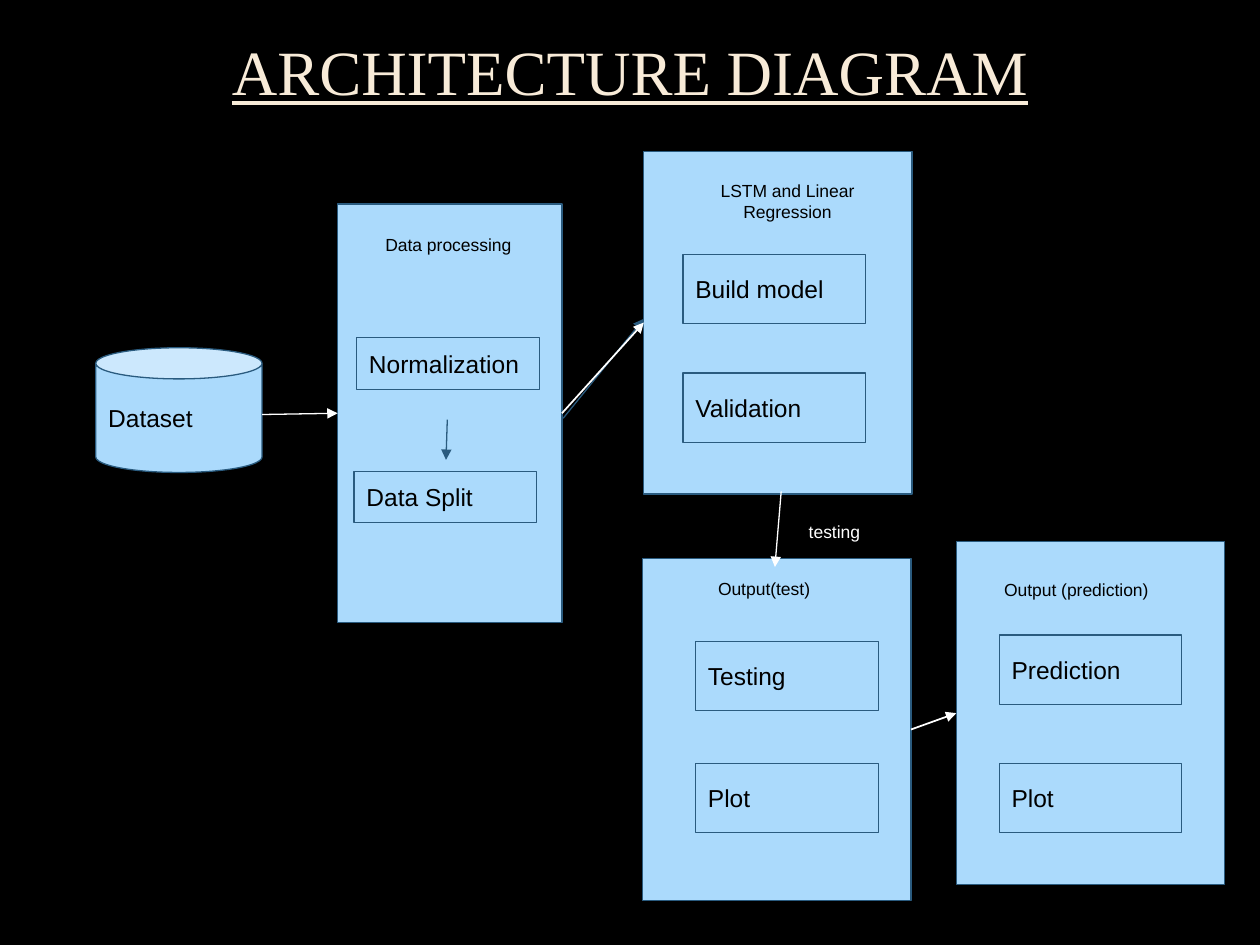
from lxml import etree
from pptx import Presentation
from pptx import util as u
from pptx.dml.color import RGBColor
from pptx.enum import shapes, text
from pptx.oxml.ns import qn

COLUMNS, ROWS = 100, 75
WIDTH, HEIGHT = u.Inches(10), u.Inches(7.5)
COLORS = {
    "background": "000000",
    "title": "F8EBD8",
    "box": "ABDAFC",
    "outline": "2A5B7F",
    "dark": "000000",
    "light": "FFFFFF",
}
PANEL_SIZE = (21.3, 27.2)
STEP_SIZE = (14.5, 5.5)
SMALL_STEP_SIZE = (14.5, 4.1)


def color(name):
    return RGBColor.from_string(COLORS[name])


def place(column, row):
    return u.Emu(round(WIDTH * column / COLUMNS)), u.Emu(round(HEIGHT * row / ROWS))


def write(shape, content, size=14, font="Arial", fill="dark", align=text.PP_ALIGN.LEFT,
          anchor=text.MSO_ANCHOR.MIDDLE, inset=0.1, underline=False, spacing=None):
    frame = shape.text_frame
    frame.word_wrap = True
    frame.vertical_anchor = anchor
    frame.margin_left = frame.margin_right = u.Inches(0.1)
    frame.margin_top = frame.margin_bottom = u.Inches(inset)
    paragraph = frame.paragraphs[0]
    paragraph.alignment = align
    paragraph.line_spacing = spacing
    run = paragraph.add_run()
    run.text = content
    run.font.size = u.Pt(size)
    run.font.name = font
    run.font.underline = underline
    run.font.color.rgb = color(fill)


def add_box(slide, position, extent, label=None, kind=shapes.MSO_SHAPE.RECTANGLE):
    shape = slide.shapes.add_shape(kind, *place(*position), *place(*extent))
    shape.shadow.inherit = False
    shape.fill.solid()
    shape.fill.fore_color.rgb = color("box")
    shape.line.color.rgb = color("outline")
    shape.line.width = u.Pt(0.75)
    if label:
        write(shape, label)


def add_label(slide, position, extent, content, **style):
    shape = slide.shapes.add_textbox(*place(*position), *place(*extent))
    write(shape, content, **{"size": 10, "anchor": text.MSO_ANCHOR.TOP, **style})


def add_arrow(slide, start, end, stroke="light", width=0.75):
    arrow = slide.shapes.add_connector(
        shapes.MSO_CONNECTOR.STRAIGHT, *place(*start), *place(*end))
    arrow.line.color.rgb = color(stroke)
    arrow.line.width = u.Pt(width)
    properties = arrow.element.spPr
    etree.SubElement(properties.find(qn("a:ln")), qn("a:tailEnd"), type="triangle")
    etree.SubElement(properties, qn("a:effectLst"))


def add_stage(slide, position, extent, steps, step_size=STEP_SIZE):
    add_box(slide, position, extent)
    for label, step_position in steps:
        add_box(slide, step_position, step_size, label)


def main():
    presentation = Presentation()
    presentation.slide_width, presentation.slide_height = WIDTH, HEIGHT
    slide = presentation.slides.add_slide(presentation.slide_layouts[6])
    slide.background.fill.solid()
    slide.background.fill.fore_color.rgb = color("background")

    add_label(slide, (7.5, -2.7), (85, 17.4), "ARCHITECTURE DIAGRAM", size=36,
              font="Times New Roman", fill="title", align=text.PP_ALIGN.CENTER,
              anchor=text.MSO_ANCHOR.MIDDLE, inset=0.05, underline=True, spacing=0.9)
    add_box(slide, (7.6, 27.6), (13.2, 9.9), "Dataset", shapes.MSO_SHAPE.CAN)

    add_stage(slide, (26.8, 16.2), (17.8, 33.2),
              [("Normalization", (28.3, 26.8)), ("Data Split", (28.1, 37.4))],
              SMALL_STEP_SIZE)
    add_stage(slide, (51.1, 12), PANEL_SIZE,
              [("Build model", (54.2, 20.2)), ("Validation", (54.2, 29.6))])
    add_stage(slide, (51, 44.3), PANEL_SIZE,
              [("Testing", (55.2, 50.9)), ("Plot", (55.2, 60.6))])
    add_stage(slide, (75.9, 43), PANEL_SIZE,
              [("Prediction", (79.3, 50.4)), ("Plot", (79.3, 60.6))])

    add_label(slide, (29.6, 17.7), (13.2, 5.5), "Data processing")
    add_label(slide, (56.2, 13.3), (12.6, 5.5), "LSTM and Linear Regression",
              align=text.PP_ALIGN.CENTER)
    add_label(slide, (56, 45), (10.9, 3.2), "Output(test)")
    add_label(slide, (78.7, 45.1), (15.1, 2.7), "Output (prediction)")
    add_label(slide, (63.2, 40.5), (8.2, 2.7), "testing", fill="light")

    add_arrow(slide, (35.5, 33.3), (35.4, 36.5), "outline")
    add_arrow(slide, (20.8, 32.9), (26.8, 32.8))
    add_arrow(slide, (44.7, 33.2), (51.1, 25.3), "outline")
    add_arrow(slide, (62, 39), (61.5, 45))
    add_arrow(slide, (44.6, 32.8), (51.1, 25.6), width=1)
    add_arrow(slide, (72.3, 57.9), (75.9, 56.6), width=1)

    presentation.save("out.pptx")


if __name__ == "__main__":
    main()
